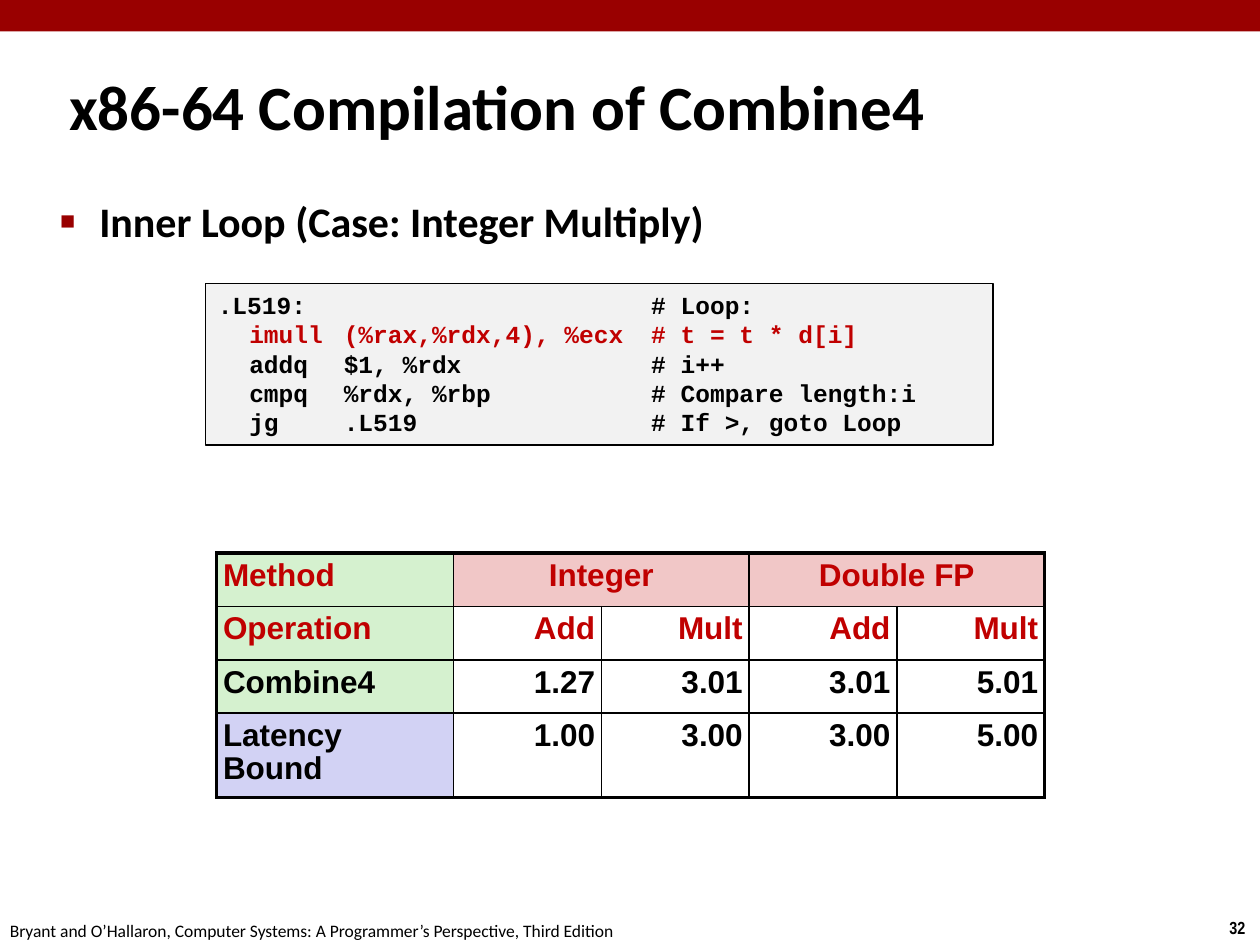
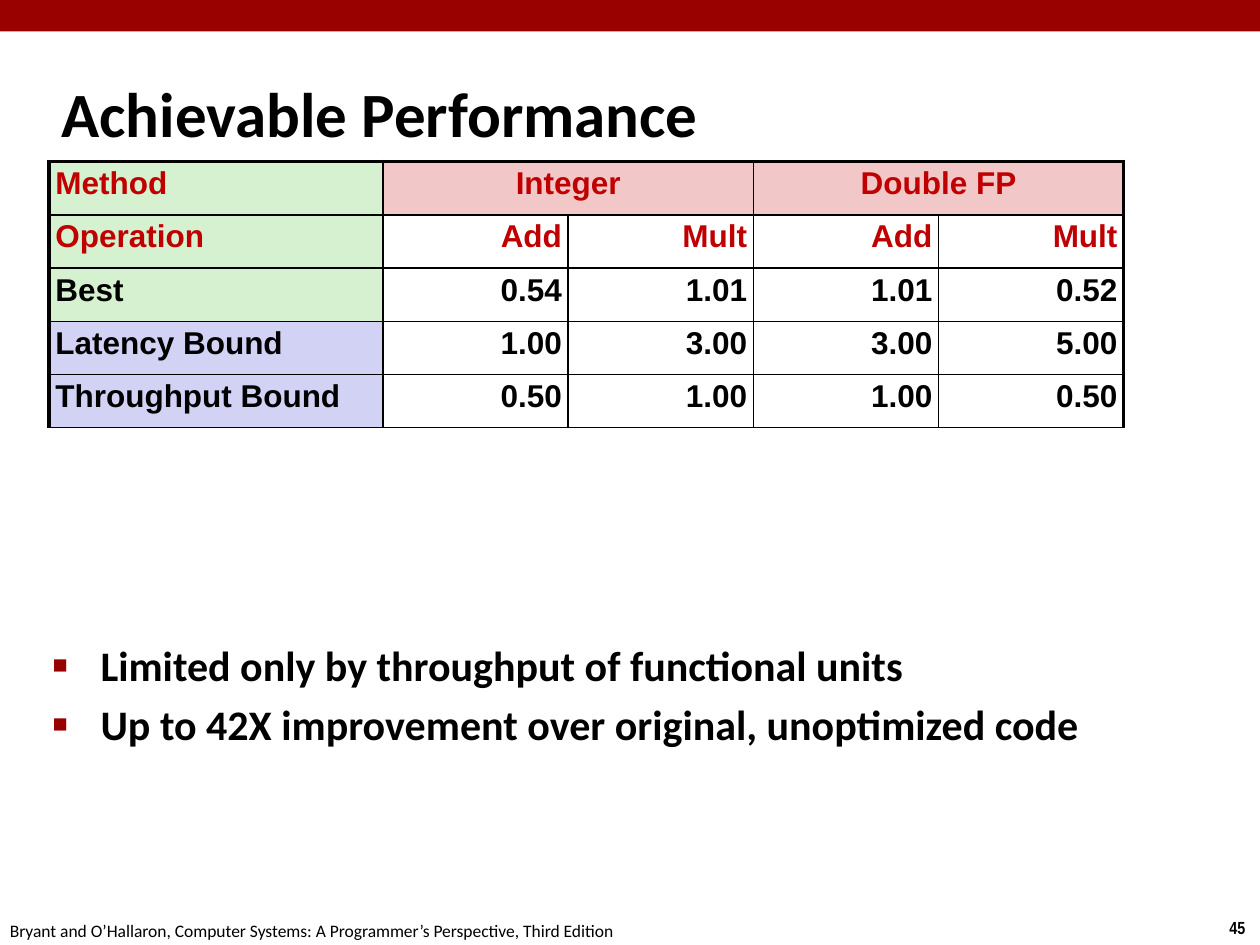
from lxml.etree import SubElement as add_node
from pptx import Presentation
from pptx.dml.color import RGBColor
from pptx.enum.shapes import MSO_SHAPE as Shape
from pptx.enum.text import MSO_ANCHOR as Anchor, PP_ALIGN as Align
from pptx.oxml.ns import qn
from pptx.util import Inches, Pt

RED, ACCENT, BLACK = "990000", "C00000", "000000"
GREEN, PINK, LILAC, GREY = "D5F1CF", "F1C7C7", "D2D2F4", "F2F2F2"
FOOTER = "Bryant and O’Hallaron, Computer Systems: A Programmer’s Perspective, Third Edition"
CODE_TABS = (0.25, 1, 3.44)
color = RGBColor.from_string

deck = Presentation()
deck.slide_width, deck.slide_height = Inches(10), Inches(7.5)
COL, ROW = deck.slide_width // 40, deck.slide_height // 30


def grid(left, top, width, height):
    return int(left * COL), int(top * ROW), int(width * COL), int(height * ROW)


def write(frame, text, font="Calibri", size=24, ink=BLACK, bold=True, align=Align.LEFT,
          anchor=Anchor.TOP, wrap=True, spacing=None, after=0, bullet=0, tabs=()):
    frame.word_wrap = wrap
    frame.vertical_anchor = anchor
    for index, line in enumerate(text.split("\n")):
        para = frame.paragraphs[0] if index == 0 else frame.add_paragraph()
        para.alignment = align
        para.line_spacing = spacing
        para.space_after = Pt(after)
        props = para._p.get_or_add_pPr()
        if bullet:
            props.set("marL", str(Inches(bullet)))
            props.set("indent", str(-Inches(bullet)))
            add_node(add_node(props, qn("a:buClr")), qn("a:srgbClr"), val=RED)
            add_node(props, qn("a:buSzPct"), val="60000")
            add_node(props, qn("a:buFont"), typeface="Arial")
            add_node(props, qn("a:buChar"), char="■")
        if tabs:
            stops = add_node(props, qn("a:tabLst"))
            for stop in tabs:
                add_node(stops, qn("a:tab"), pos=str(Inches(stop)), algn="l")
        span = para.add_run()
        span.text = line
        span.font.name, span.font.size, span.font.bold = font, Pt(size), bold
        span.font.color.rgb = color(ink)


HEADER = [["Method", "Integer", "", "Double FP", ""],
          ["Operation", "Add", "Mult", "Add", "Mult"]]
LATENCY = ["Latency Bound", "1.00", "3.00", "3.00", "5.00"]
pages = [
    dict(title="x86-64 Compilation of Combine4", title_at=(1.8, 1.68), number="32",
         bullets="Inner Loop (Case: Integer Multiply)",
         bullets_at=(1.52, 6, 36.12, 3), indent=0.31,
         rows=HEADER + [["Combine4", "1.27", "3.01", "3.01", "5.01"], LATENCY],
         table_at=(6.88, 17.56), widths=(7.52, 4.69), last_height=2.68, bottom=2.25),
    dict(title="Achievable Performance", title_at=(1.56, 1.92), number="45",
         bullets="Limited only by throughput of functional units\n"
                 "Up to 42X improvement over original, unoptimized code",
         bullets_at=(1.28, 20.12, 36.36, 8.2), indent=0.38,
         rows=HEADER + [["Best", "0.54", "1.01", "1.01", "0.52"], LATENCY,
                        ["Throughput Bound", "0.50", "1.00", "1.00", "0.50"]],
         table_at=(1.56, 5.12), widths=(10.6, 5.88), last_height=1.69, bottom=1),
]

for content in pages:
    page = deck.slides.add_slide(deck.slide_layouts[6])
    band = page.shapes.add_shape(Shape.RECTANGLE, *grid(0, 0, 40, 1))
    band.shadow.inherit = False
    band.fill.solid()
    band.fill.fore_color.rgb = color(RED)
    band.line.fill.background()

    box = page.shapes.add_textbox(*grid(38.64, 28.92, 1.36, 1.08))
    write(box.text_frame, content["number"], font="Arial Narrow", size=10, wrap=False)
    box = page.shapes.add_textbox(*grid(-0.08, 29, 20.32, 1.08))
    write(box.text_frame, FOOTER, size=10, bold=False, wrap=False)
    box = page.shapes.add_textbox(*grid(*content["title_at"], 33.2, 3.32))
    write(box.text_frame, content["title"], size=36, anchor=Anchor.MIDDLE)
    box = page.shapes.add_textbox(*grid(*content["bullets_at"]))
    write(box.text_frame, content["bullets"], after=4.8, bullet=content["indent"])

    rows = content["rows"]
    label_width, value_width = content["widths"]
    heights = [1.7] + [1.69] * (len(rows) - 2) + [content["last_height"]]
    frame = page.shapes.add_table(len(rows), 5, *grid(
        *content["table_at"], label_width + 4 * value_width, sum(heights)))
    table = frame.table
    table.first_row = table.horz_banding = False
    for index, column in enumerate(table.columns):
        column.width = int(COL * (value_width if index else label_width))
    for row, height in zip(table.rows, heights):
        row.height = int(ROW * height)
    for start in (1, 3):
        table.cell(0, start).merge(table.cell(0, start + 1))

    for r, values in enumerate(rows):
        for c, value in enumerate(values):
            cell = table.cell(r, c)
            cell.margin_left = cell.margin_right = Inches(0.05)
            cell.margin_top = cell.margin_bottom = Inches(0.05)
            edges = {"a:lnL": 1 if c else 2.25,
                     "a:lnR": 2.25 if c + cell.span_width == 5 else 1,
                     "a:lnT": 1 if r else 2.25,
                     "a:lnB": content["bottom"] if r == len(rows) - 1 else 1}
            if cell.is_spanned:
                del edges["a:lnL"]
            for edge, points in edges.items():
                line = add_node(cell._tc.get_or_add_tcPr(), qn(edge), w=str(Pt(points)))
                add_node(add_node(line, qn("a:solidFill")), qn("a:srgbClr"), val=BLACK)
            if c == 0 or r == 0:
                cell.fill.solid()
                shade = PINK if c else LILAC if value.endswith("Bound") else GREEN
                cell.fill.fore_color.rgb = color(shade)
            else:
                cell.fill.background()
            if value:
                align = Align.LEFT if c == 0 else Align.RIGHT if r else Align.CENTER
                write(cell.text_frame, value, font="Arial", size=18, align=align,
                      ink=ACCENT if r < 2 else BLACK, spacing=0.95)

code = deck.slides[0].shapes.add_shape(Shape.RECTANGLE, *grid(6.52, 9, 25, 5.12))
code.shadow.inherit = False
code.fill.solid()
code.fill.fore_color.rgb = color(GREY)
code.line.color.rgb = color(BLACK)
code.line.width = Pt(1)
write(code.text_frame, ".L519:\t\t# Loop:\n"
      "\timull\t(%rax,%rdx,4), %ecx\t# t = t * d[i]\n"
      "\taddq\t$1, %rdx\t# i++\n"
      "\tcmpq\t%rdx, %rbp\t# Compare length:i\n"
      "\tjg\t.L519\t# If >, goto Loop", font="Courier New", size=14, tabs=CODE_TABS)
code.text_frame.paragraphs[1].runs[0].font.color.rgb = color(ACCENT)

deck.save("out.pptx")
